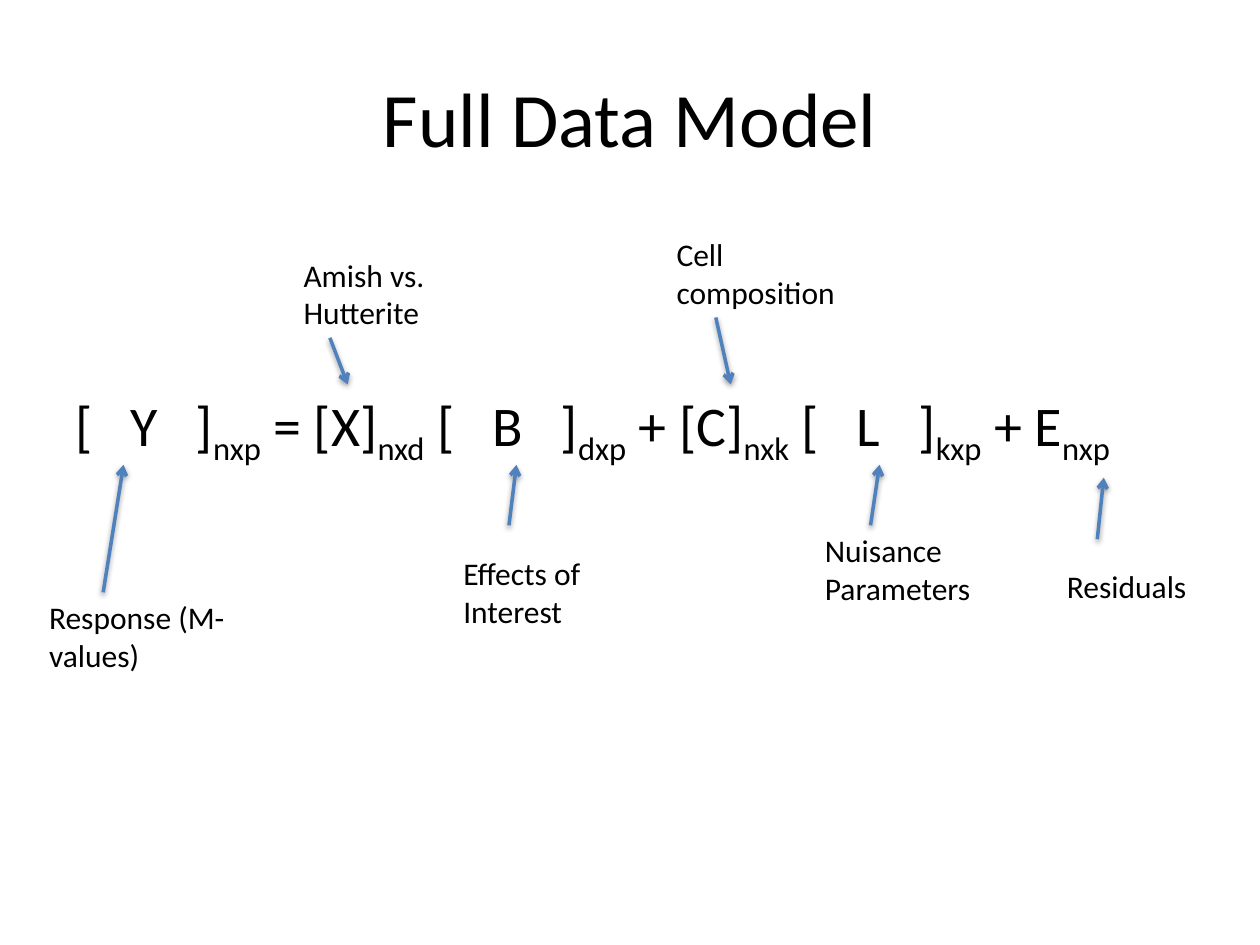
from lxml.etree import SubElement
from pptx import Presentation
from pptx.dml.color import RGBColor
from pptx.enum.shapes import MSO_CONNECTOR
from pptx.enum.text import MSO_ANCHOR, MSO_AUTO_SIZE, PP_ALIGN
from pptx.oxml.ns import qn
from pptx.util import Cm, Pt

BLACK = RGBColor(0x00, 0x00, 0x00)
BLUE = RGBColor(0x4F, 0x81, 0xBD)

FORMULA = [
    ("[   Y   ]", "nxp"), (" = [X]", "nxd"), (" [   B   ]", "dxp"),
    (" + [C]", "nxk"), (" [   L   ]", "kxp"), (" + E", "nxp"),
]

# Text, box in cm, then arrow start and end measured from the box corner
NOTES = [
    ("Response (M-values)", (0.74, 11.94, 4.04, 1.8), (1.34, 0), (1.75, -2.57)),
    ("Effects of Interest", (9.09, 11.05, 3.66, 1.8), (1.17, -0.46), (1.32, -1.68)),
    ("Nuisance Parameters", (16.38, 10.59, 3.66, 1.8), (1.17, 0), (1.35, -1.22)),
    ("Residuals", (21.26, 11.3, 3.3, 1.02), (0.86, -0.43), (0.99, -1.67)),
    ("Amish vs. Hutterite", (5.87, 5.03, 3.2, 1.8), (0.78, 1.78), (1.14, 2.72)),
    ("Cell composition", (13.39, 4.62, 4.17, 1.8), (1.04, 1.78), (1.34, 3.13)),
]


def add_frame(shapes, box, **traits):
    frame = shapes.add_textbox(*map(Cm, box)).text_frame
    for name, value in {"word_wrap": True, **traits}.items():
        setattr(frame, name, value)
    return frame


def add_run(para, text, size):
    run = para.add_run()
    run.text = text
    run.font.color.rgb = BLACK
    for name, value in {"name": "Calibri", "size": Pt(size)}.items():
        setattr(run.font, name, value)
    return run


def add_title(shapes, box):
    frame = add_frame(shapes, box, vertical_anchor=MSO_ANCHOR.MIDDLE)
    para = frame.paragraphs[0]
    para.alignment = PP_ALIGN.CENTER
    add_run(para, "Full Data Model", 44)


def add_formula(shapes, box):
    """Write each term followed by its dimensions as a subscript."""
    frame = add_frame(shapes, box, auto_size=MSO_AUTO_SIZE.SHAPE_TO_FIT_TEXT)
    para = frame.paragraphs[0]
    for term, size in FORMULA:
        add_run(para, term, 32)
        sub = add_run(para, size, 32)
        sub.font._element.set("baseline", "-25000")


def add_arrow(shapes, start, end):
    """Draw an open-headed arrow that keeps the soft theme shadow."""
    arrow = shapes.add_connector(MSO_CONNECTOR.STRAIGHT, *map(Cm, start + end))
    arrow.line.color.rgb = BLUE
    arrow.line.width = Pt(2)
    SubElement(arrow.line._get_or_add_ln(), qn("a:tailEnd"), type="arrow")


def add_note(shapes, text, box, start, end):
    """Group a label with the arrow from it to its term."""
    parts = shapes.add_group_shape().shapes
    frame = add_frame(parts, box, auto_size=MSO_AUTO_SIZE.SHAPE_TO_FIT_TEXT)
    add_run(frame.paragraphs[0], text, 18)
    left, top = box[:2]
    add_arrow(parts, *((left + x, top + y) for x, y in (start, end)))


def main():
    deck = Presentation()
    deck.slide_width, deck.slide_height = Cm(25.4), Cm(19.05)
    shapes = deck.slides.add_slide(deck.slide_layouts[6]).shapes
    add_title(shapes, (1.27, 0.76, 22.86, 3.18))
    add_formula(shapes, (1.27, 7.75, 24.38, 1.63))
    for note in NOTES:
        add_note(shapes, *note)
    deck.save("out.pptx")


if __name__ == "__main__":
    main()
